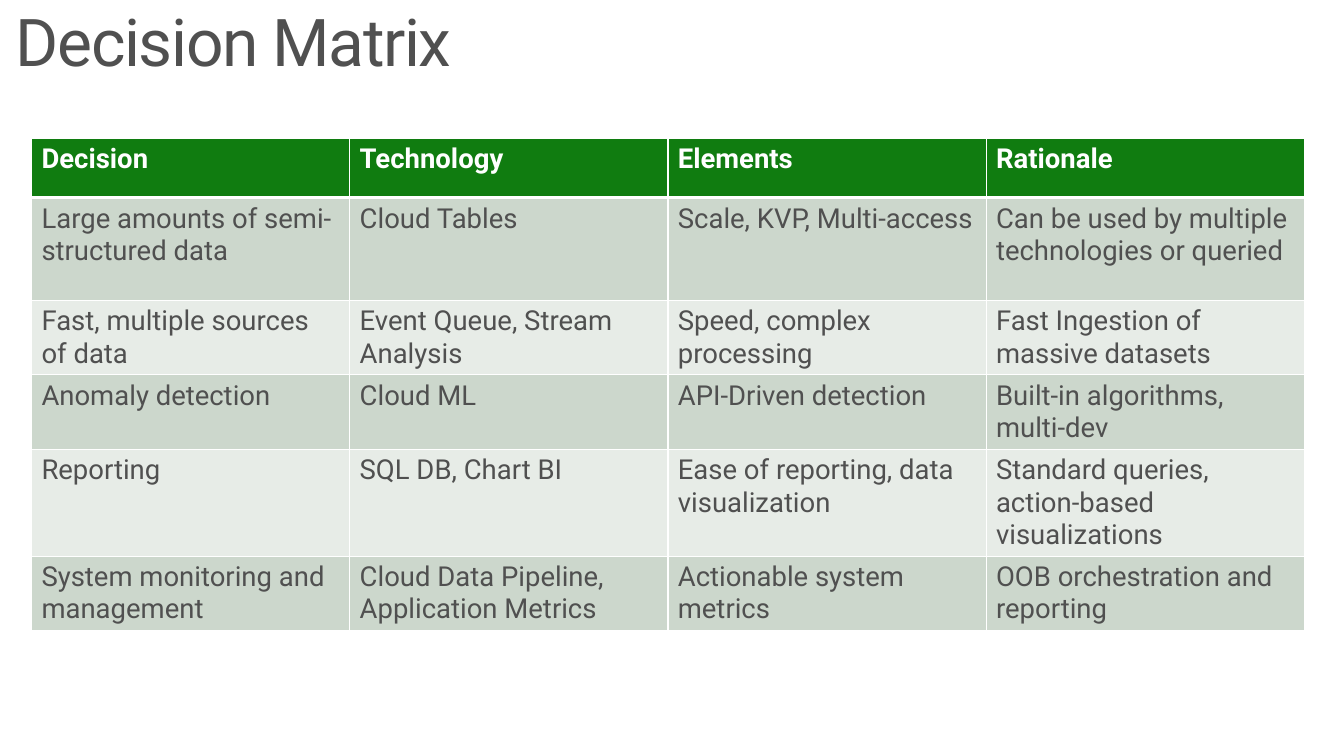
import pptx
import pptx.dml.color
import pptx.enum.text
import pptx.oxml.ns
import pptx.util
from lxml import etree

Inches = pptx.util.Inches
Pt = pptx.util.Pt

HEADER = ["Decision", "Technology", "Elements", "Rationale"]
DECISIONS = [
    ["Large amounts of semi-structured data", "Cloud Tables",
     "Scale, KVP, Multi-access", "Can be used by multiple technologies or queried"],
    ["Fast, multiple sources of data", "Event Queue, Stream Analysis",
     "Speed, complex processing", "Fast Ingestion of massive datasets"],
    ["Anomaly detection", "Cloud ML",
     "API-Driven detection", "Built-in algorithms, multi-dev"],
    ["Reporting", "SQL DB, Chart BI",
     "Ease of reporting, data visualization",
     "Standard queries, action-based visualizations"],
    ["System monitoring and management", "Cloud Data Pipeline, Application Metrics",
     "Actionable system metrics", "OOB orchestration and reporting"],
]
ROW_HEIGHTS = [0.6, 1.04, 0.6, 0.6, 0.6, 0.6]
COLUMN_WIDTH = 3.22


def color(value):
    return pptx.dml.color.RGBColor.from_string(value)


class SlideBuilder:
    font_name = "Roboto"
    text_color = "505050"
    white = "FFFFFF"
    header_fill = "107C10"
    band_fills = ["CCD7CC", "E7ECE7"]

    def __init__(self, slide):
        self.slide = slide

    def style(self, paragraph, size, text_color, bold=False):
        font = paragraph.font
        font.name = self.font_name
        font.size = Pt(size)
        font.bold = bold
        font.color.rgb = color(text_color)

    def title(self, text, left, top, width, height):
        box = self.slide.shapes.add_textbox(
            Inches(left), Inches(top), Inches(width), Inches(height))
        frame = box.text_frame
        frame.word_wrap = True
        frame.auto_size = pptx.enum.text.MSO_AUTO_SIZE.NONE
        frame.margin_left = frame.margin_right = Inches(0.16)
        frame.margin_top = frame.margin_bottom = Inches(0.1)
        paragraph = frame.paragraphs[0]
        paragraph.line_spacing = 0.9
        run = paragraph.add_run()
        run.text = text
        self.style(paragraph, 48, self.text_color)
        # Letter spacing, in hundredths of a point
        run.font._element.set("spc", "-100")

    def border(self, cell, side, width):
        properties = cell._tc.get_or_add_tcPr()
        qn = pptx.oxml.ns.qn
        line = etree.SubElement(properties, qn("a:ln" + side), w=str(Pt(width)))
        fill = etree.SubElement(line, qn("a:solidFill"))
        etree.SubElement(fill, qn("a:srgbClr"), val=self.white)

    def cell(self, cell, text, row_index):
        is_header = row_index == 0
        cell.text = text
        self.style(cell.text_frame.paragraphs[0], 20,
                   self.white if is_header else self.text_color, is_header)
        # The rule under the header is heavier than the rest of the grid
        widths = {"L": 1, "R": 1, "T": 3 if row_index == 1 else 1,
                  "B": 3 if is_header else 1}
        for side, width in widths.items():
            self.border(cell, side, width)
        cell.fill.solid()
        cell.fill.fore_color.rgb = color(
            self.header_fill if is_header else self.band_fills[(row_index - 1) % 2])

    def table(self, rows, left, top, column_width, row_heights):
        column_count = len(rows[0])
        table = self.slide.shapes.add_table(
            len(rows), column_count, Inches(left), Inches(top),
            Inches(column_width * column_count), Inches(sum(row_heights))).table
        for column in table.columns:
            column.width = Inches(column_width)
        for row_index, texts in enumerate(rows):
            table.rows[row_index].height = Inches(row_heights[row_index])
            for column_index, text in enumerate(texts):
                self.cell(table.cell(row_index, column_index), text, row_index)


def main():
    presentation = pptx.Presentation()
    presentation.slide_width = Inches(13.6)
    presentation.slide_height = Inches(7.65)
    builder = SlideBuilder(
        presentation.slides.add_slide(presentation.slide_layouts[6]))

    # Title
    builder.title("Decision Matrix", 0, 0, 13.6, 0.85)

    # Decision table
    builder.table([HEADER] + DECISIONS, 0.32, 1.4, COLUMN_WIDTH, ROW_HEIGHTS)

    presentation.save("out.pptx")


if __name__ == "__main__":
    main()
